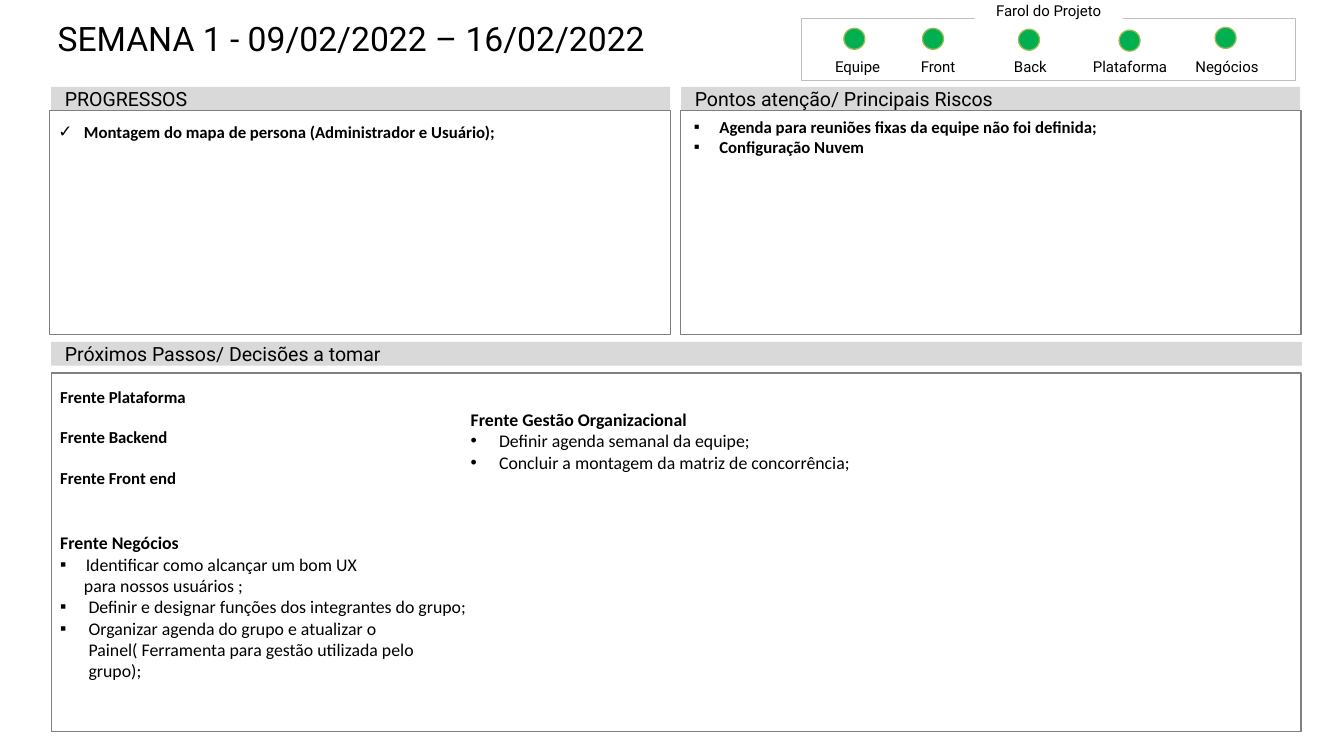
from lxml.etree import SubElement
from pptx import Presentation
from pptx.dml.color import RGBColor
from pptx.enum.shapes import MSO_SHAPE
from pptx.enum.text import MSO_ANCHOR, PP_ALIGN
from pptx.oxml.ns import qn
from pptx.util import Inches, Pt

BLACK = RGBColor(0x00, 0x00, 0x00)
WHITE = RGBColor(0xFF, 0xFF, 0xFF)
GREEN = RGBColor(0x00, 0xB0, 0x50)
OLIVE = RGBColor(0x9B, 0xBB, 0x59)
BAR_GRAY = RGBColor(0xD9, 0xD9, 0xD9)
FRAME_GRAY = RGBColor(0x80, 0x80, 0x80)
LIGHT_GRAY = RGBColor(0xBF, 0xBF, 0xBF)

# Content
TITLE = "SEMANA 1 - 09/02/2022 – 16/02/2022"
STATUS_TITLE = "Farol do Projeto"
# label, label left, light left, light top
STATUS_LIGHTS = [
    ("Equipe", 8.89, 9.23, 0.31),
    ("Front", 9.77, 10.09, 0.31),
    ("Back", 10.78, 11.14, 0.32),
    ("Plataforma", 11.87, 12.24, 0.33),
    ("Negócios", 12.93, 13.29, 0.3),
]
# heading, left, top, width
SECTION_BARS = [
    ("PROGRESSOS", 0.56, 0.95, 6.77),
    ("Pontos atenção/ Principais Riscos", 7.45, 0.95, 6.77),
    ("Próximos Passos/ Decisões a tomar", 0.56, 3.74, 13.68),
]
FRAMES = [(0.54, 1.21, 6.79, 2.45), (7.44, 1.21, 6.79, 2.45), (0.56, 4.08, 13.67, 3.92)]

# Paragraphs: text, size, bold, bullet, indent, space after in points
PROGRESS = [("Montagem do mapa de persona (Administrador e Usuário);", 13.2, True, "✓", 0.28, 0)]
RISKS = [
    ("Agenda para reuniões fixas da equipe não foi definida;", 13.2, True, "▪", 0.28, 0),
    ("Configuração Nuvem", 13.2, True, "▪", 0.28, 0),
]
FRONTS = [
    ("Frente Plataforma", 13.2, True, None, 0, 16),
    ("Frente Backend", 13.2, True, None, 0, 16),
    ("Frente Front end", 13.2, True, None, 0, 35),
    ("Frente Negócios", 14, True, None, 0, 0),
    ("Identificar como alcançar um bom UX", 14, False, "▪", 0.28, 0),
    ("para nossos usuários ;", 14, False, None, 0.26, 0),
    ("Definir e designar funções dos integrantes do grupo;", 14, False, "▪", 0.31, 0),
    ("Organizar agenda do grupo e atualizar o Painel( Ferramenta para gestão "
     "utilizada pelo grupo);", 14, False, "▪", 0.31, 0),
]
MANAGEMENT = [
    ("Frente Gestão Organizacional", 14, True, None, 0, 0),
    ("Definir agenda semanal da equipe;", 14, False, "•", 0.31, 0),
    ("Concluir a montagem da matriz de concorrência;", 14, False, "•", 0.31, 0),
]
# paragraphs, left, top, width, height
TEXT_BLOCKS = [
    (PROGRESS, 0.54, 1.28, 6.79, 0.35),
    (RISKS, 7.49, 1.23, 6.74, 0.55),
    (FRONTS, 0.56, 4.18, 4.69, 3.5),
    (MANAGEMENT, 5.05, 4.42, 4.69, 0.85),
]

deck = Presentation()
deck.slide_width, deck.slide_height = Inches(14.7), Inches(8.27)
page = deck.slides.add_slide(deck.slide_layouts[6])


def add_panel(kind, left, top, width, height, fill=None, line=None, weight=1):
    panel = page.shapes.add_shape(kind, Inches(left), Inches(top), Inches(width), Inches(height))
    panel.shadow.inherit = False
    if fill is None:
        panel.fill.background()
    else:
        panel.fill.solid()
        panel.fill.fore_color.rgb = fill
    if line is None:
        panel.line.fill.background()
    else:
        panel.line.color.rgb = line
        panel.line.width = Pt(weight)
    return panel


def add_box(left, top, width, height):
    return page.shapes.add_textbox(Inches(left), Inches(top), Inches(width), Inches(height))


def set_frame(shape, insets, anchor, wrap=True):
    frame = shape.text_frame
    frame.word_wrap = wrap
    frame.vertical_anchor = anchor
    (frame.margin_left, frame.margin_top,
     frame.margin_right, frame.margin_bottom) = [Inches(inset) for inset in insets]
    return frame


def add_span(para, text, size, font="Roboto", bold=False, align=PP_ALIGN.LEFT):
    para.alignment = align
    span = para.add_run()
    span.text = text
    span.font.name = font
    span.font.size = Pt(size)
    span.font.bold = bold
    span.font.color.rgb = BLACK


def set_bullet(para, bullet, indent):
    properties = para._p.get_or_add_pPr()
    properties.set("marL", str(Inches(indent)))
    if bullet:
        properties.set("indent", str(-Inches(indent)))
        SubElement(properties, qn("a:buFont")).set("typeface", "Arial")
        SubElement(properties, qn("a:buChar")).set("char", bullet)


def add_caption(shape, text):
    frame = set_frame(shape, (0.06, 0.06, 0.06, 0), MSO_ANCHOR.BOTTOM, wrap=False)
    add_span(frame.paragraphs[0], text, 11.8, align=PP_ALIGN.CENTER)


# Title
title_frame = set_frame(add_box(0.51, 0.2, 8, 0.6), (0.12, 0, 0.12, 0), MSO_ANCHOR.TOP)
add_span(title_frame.paragraphs[0], TITLE, 26.5)

# Project status lights
add_panel(MSO_SHAPE.RECTANGLE, 8.77, 0.2, 5.4, 0.68, line=LIGHT_GRAY, weight=0.5)
add_caption(add_panel(MSO_SHAPE.RECTANGLE, 10.66, 0, 1.62, 0.21, fill=WHITE), STATUS_TITLE)
for label, label_left, light_left, light_top in STATUS_LIGHTS:
    add_panel(MSO_SHAPE.OVAL, light_left, light_top, 0.23, 0.23, GREEN, OLIVE)
    add_caption(add_box(label_left, 0.63, 0.98, 0.2), label)

# Section bars and frames
for heading, left, top, width in SECTION_BARS:
    bar = add_panel(MSO_SHAPE.RECTANGLE, left, top, width, 0.26, fill=BAR_GRAY)
    bar_frame = set_frame(bar, (0.15, 0.07, 0.15, 0.07), MSO_ANCHOR.MIDDLE)
    add_span(bar_frame.paragraphs[0], heading, 15.4)
for place in FRAMES:
    add_panel(MSO_SHAPE.RECTANGLE, *place, line=FRAME_GRAY)

# Section texts
for paragraphs, *place in TEXT_BLOCKS:
    block = set_frame(add_box(*place), (0.1, 0.05, 0.1, 0.05), MSO_ANCHOR.TOP)
    for number, (text, size, bold, bullet, indent, gap) in enumerate(paragraphs):
        para = block.add_paragraph() if number else block.paragraphs[0]
        para.space_after = Pt(gap)
        set_bullet(para, bullet, indent)
        add_span(para, text, size, "Calibri", bold)

deck.save("out.pptx")
